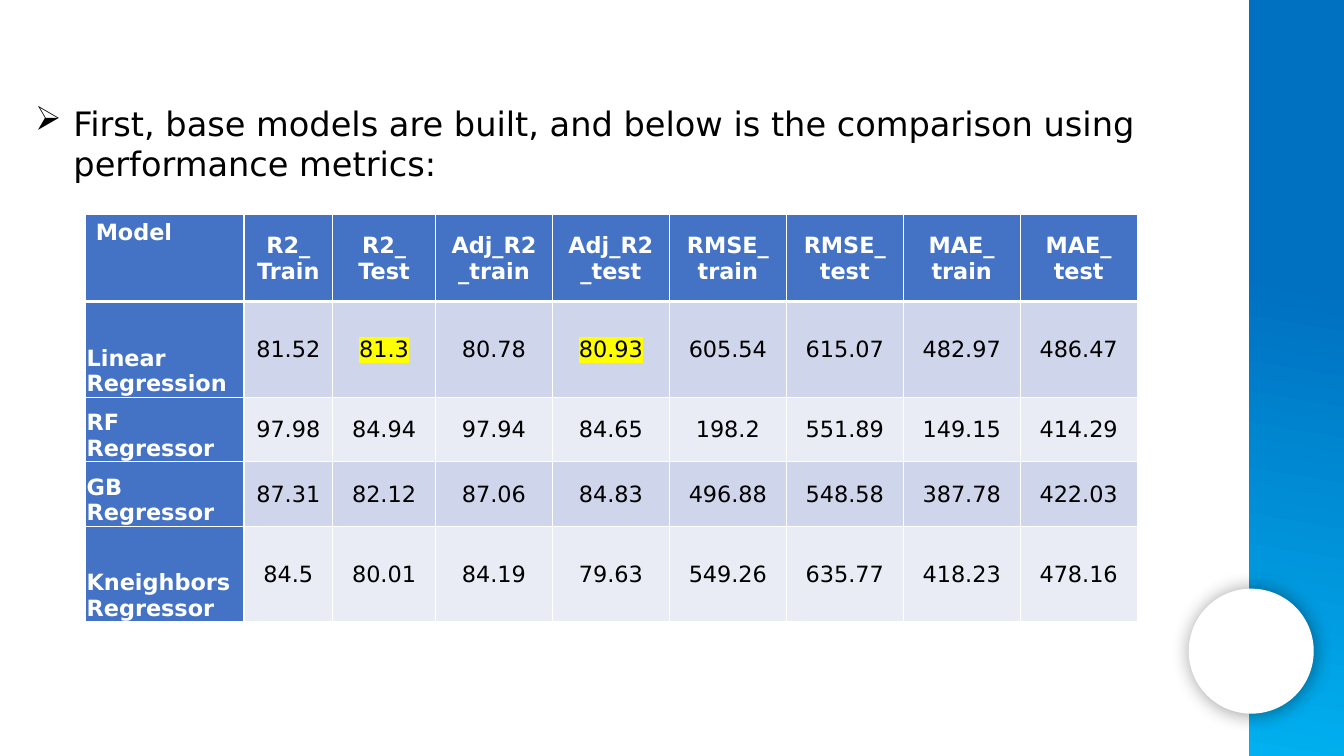
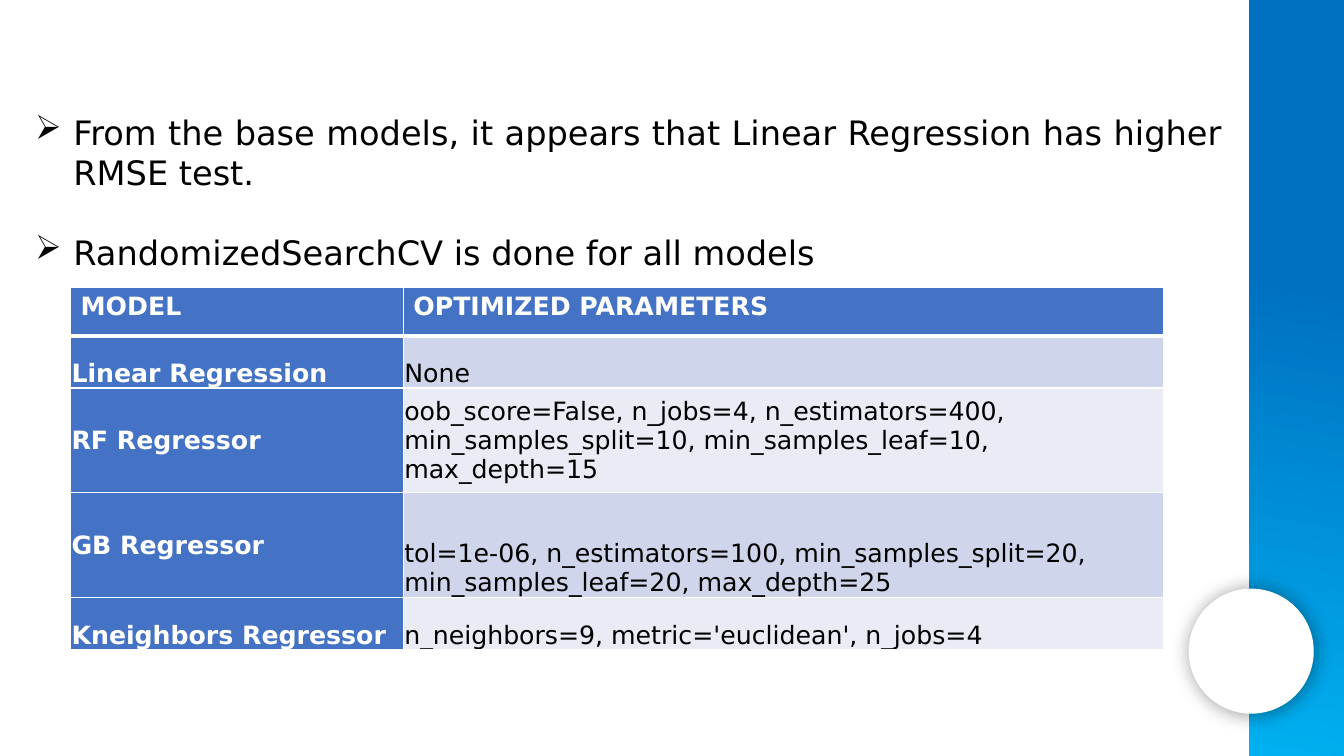
from lxml import etree
from pptx import Presentation
from pptx.dml.color import RGBColor
from pptx.enum import shapes, text
from pptx.oxml import parse_xml
from pptx.oxml.ns import nsdecls, qn
from pptx.util import Inches, Pt

FONT = "DejaVu Sans"
BLACK = RGBColor(0x00, 0x00, 0x00)
WHITE = RGBColor(0xFF, 0xFF, 0xFF)
YELLOW = RGBColor(0xFF, 0xFF, 0x00)
HEADER = RGBColor(0x44, 0x72, 0xC4)
BANDS = RGBColor(0xCF, 0xD5, 0xEA), RGBColor(0xE9, 0xEB, 0xF5)
GRADIENT = (0.37, RGBColor(0x00, 0x70, 0xC0)), (1, RGBColor(0x00, 0xB0, 0xF0))
LEFT, JUSTIFY, CENTER = (text.PP_ALIGN.LEFT, text.PP_ALIGN.JUSTIFY,
                         text.PP_ALIGN.CENTER)
ANCHORS = {"T": text.MSO_ANCHOR.TOP, "M": text.MSO_ANCHOR.MIDDLE,
           "B": text.MSO_ANCHOR.BOTTOM}

SLIDES = [
    dict(
        bullets=["First, base models are built, and below is the comparison "
                 "using performance metrics:"],
        box=(0.25, 0.97, 11.99, 1.72), bullet_align=LEFT,
        origin=(0.85, 2.13), size=16, align=CENTER,
        cols=[1.57, 0.88, 1.02] + [1.16] * 6,
        heights=[0.86, 0.95, 0.64, 0.64, 0.95],
        anchors=["T" + "M" * 8] + ["B" + "M" * 8] * 4,
        marked=["81.3", "80.93"],
        rows=[
            ["Model", "R2_\nTrain", "R2_\nTest", "Adj_R2\n_train", "Adj_R2\n_test",
             "RMSE_\ntrain", "RMSE_\ntest", "MAE_\ntrain", "MAE_\ntest"],
            ["Linear Regression", "81.52", "81.3", "80.78", "80.93",
             "605.54", "615.07", "482.97", "486.47"],
            ["RF Regressor", "97.98", "84.94", "97.94", "84.65",
             "198.2", "551.89", "149.15", "414.29"],
            ["GB Regressor", "87.31", "82.12", "87.06", "84.83",
             "496.88", "548.58", "387.78", "422.03"],
            ["Kneighbors Regressor", "84.5", "80.01", "84.19", "79.63",
             "549.26", "635.77", "418.23", "478.16"],
        ]),
    dict(
        bullets=["From the base models, it appears that Linear Regression has "
                 "higher RMSE test.",
                 "RandomizedSearchCV is done for all models"],
        box=(0.25, 1.06, 11.97, 2.52), bullet_align=JUSTIFY,
        origin=(0.7, 2.85), size=18, align=LEFT,
        cols=[3.3, 7.54],
        heights=[0.48, 0.52, 1.04, 1.04, 0.52],
        anchors=["TT", "BB", "MM", "MB", "BB"],
        marked=[],
        rows=[
            ["MODEL", "OPTIMIZED PARAMETERS"],
            ["Linear Regression", "None"],
            ["RF Regressor", "oob_score=False, n_jobs=4, n_estimators=400, "
             "min_samples_split=10, min_samples_leaf=10, max_depth=15"],
            ["GB Regressor", "tol=1e-06, n_estimators=100, min_samples_split=20, "
             "min_samples_leaf=20, max_depth=25"],
            ["Kneighbors Regressor", "n_neighbors=9, metric='euclidean', n_jobs=4"],
        ]),
]


def write(p, content, size, color=BLACK, bold=False, align=LEFT, highlight=None):
    p.alignment = align
    r = p.add_run()
    r.text = content
    f = r.font
    f.size, f.bold, f.name = Pt(size), bold, FONT
    f.color.rgb = color
    if highlight:
        mark = parse_xml(f'<a:highlight {nsdecls("a")}>'
                         f'<a:srgbClr val="{highlight}"/></a:highlight>')
        r.font._element.find(qn("a:solidFill")).addnext(mark)


def add_side_band(s, layout):
    for ph in list(layout.placeholders):
        layout.shapes.element.remove(ph.element)
    band = s.shapes.add_shape(shapes.MSO_SHAPE.RECTANGLE, Inches(12.39), 0,
                              Inches(0.94), Inches(7.5))
    band.fill.gradient()
    band.fill.gradient_angle = 260
    for stop, (position, color) in zip(band.fill.gradient_stops, GRADIENT):
        stop.position, stop.color.rgb = position, color
    disc = s.shapes.add_shape(shapes.MSO_SHAPE.OVAL, Inches(11.79), Inches(5.84),
                              Inches(1.24), Inches(1.24))
    disc.fill.solid()
    disc.fill.fore_color.rgb = WHITE
    for sp in (band, disc):
        sp.line.fill.background()
        sp.shadow.inherit = False
        layout.shapes.element.append(sp.element)
    disc.element.spPr.find(qn("a:effectLst")).append(parse_xml(
        f'<a:outerShdw {nsdecls("a")} blurRad="{Pt(14)}" dist="{Pt(1)}" '
        f'dir="{43 * 60000}" algn="ctr" rotWithShape="0"><a:srgbClr val="{BLACK}">'
        '<a:alpha val="40000"/></a:srgbClr></a:outerShdw>'))


def add_bullets(s, bullets, box, align):
    tf = s.shapes.add_textbox(*map(Inches, box)).text_frame
    tf.word_wrap = True
    for i, content in enumerate(bullets):
        p = tf.add_paragraph() if i else tf.paragraphs[0]
        write(p, content, 24, align=align)
        if i:
            p.space_before = Pt(28)
        pPr = p._p.get_or_add_pPr()
        pPr.set("marL", str(Inches(0.38)))
        pPr.set("indent", str(-Inches(0.38)))
        etree.SubElement(pPr, qn("a:buChar"), char="➢")


def set_borders(cell, top, bottom):
    tcPr = cell._tc.get_or_add_tcPr()
    for i, (side, width) in enumerate(dict(L=1, R=1, T=top, B=bottom).items()):
        tcPr.insert(i, parse_xml(
            f'<a:ln{side} {nsdecls("a")} w="{Pt(width)}"><a:solidFill>'
            f'<a:srgbClr val="{WHITE}"/></a:solidFill></a:ln{side}>'))


def add_model_table(s, d):
    cols, heights = d["cols"], d["heights"]
    frame = (*d["origin"], sum(cols), sum(heights))
    tb = s.shapes.add_table(len(heights), len(cols), *map(Inches, frame)).table
    for column, width in zip(tb.columns, cols):
        column.width = Inches(width)
    for i, row in enumerate(d["rows"]):
        tb.rows[i].height = Inches(heights[i])
        for j, content in enumerate(row):
            cell, anchor = tb.cell(i, j), d["anchors"][i][j]
            heading = i == 0 or j == 0
            cell.vertical_anchor = ANCHORS[anchor]
            if anchor != "T":
                cell.margin_left = cell.margin_right = cell.margin_top = Inches(0.01)
                cell.margin_bottom = 0
            cell.fill.solid()
            cell.fill.fore_color.rgb = HEADER if heading else BANDS[(i - 1) % 2]
            set_borders(cell, 3 if i == 1 else 1, 3 if i == 0 else 1)
            tf = cell.text_frame
            for k, line in enumerate(content.split("\n")):
                p = tf.add_paragraph() if k else tf.paragraphs[0]
                write(p, line, d["size"], color=WHITE if heading else BLACK,
                      bold=heading, align=d["align"] if j else LEFT,
                      highlight=YELLOW if content in d["marked"] else None)


def main():
    prs = Presentation()
    prs.slide_width, prs.slide_height = Inches(13.33), Inches(7.5)
    layout = prs.slide_layouts[6]
    for i, d in enumerate(SLIDES):
        s = prs.slides.add_slide(layout)
        if i == 0:
            add_side_band(s, layout)
        add_bullets(s, d["bullets"], d["box"], d["bullet_align"])
        add_model_table(s, d)
    prs.save("out.pptx")


if __name__ == "__main__":
    main()
